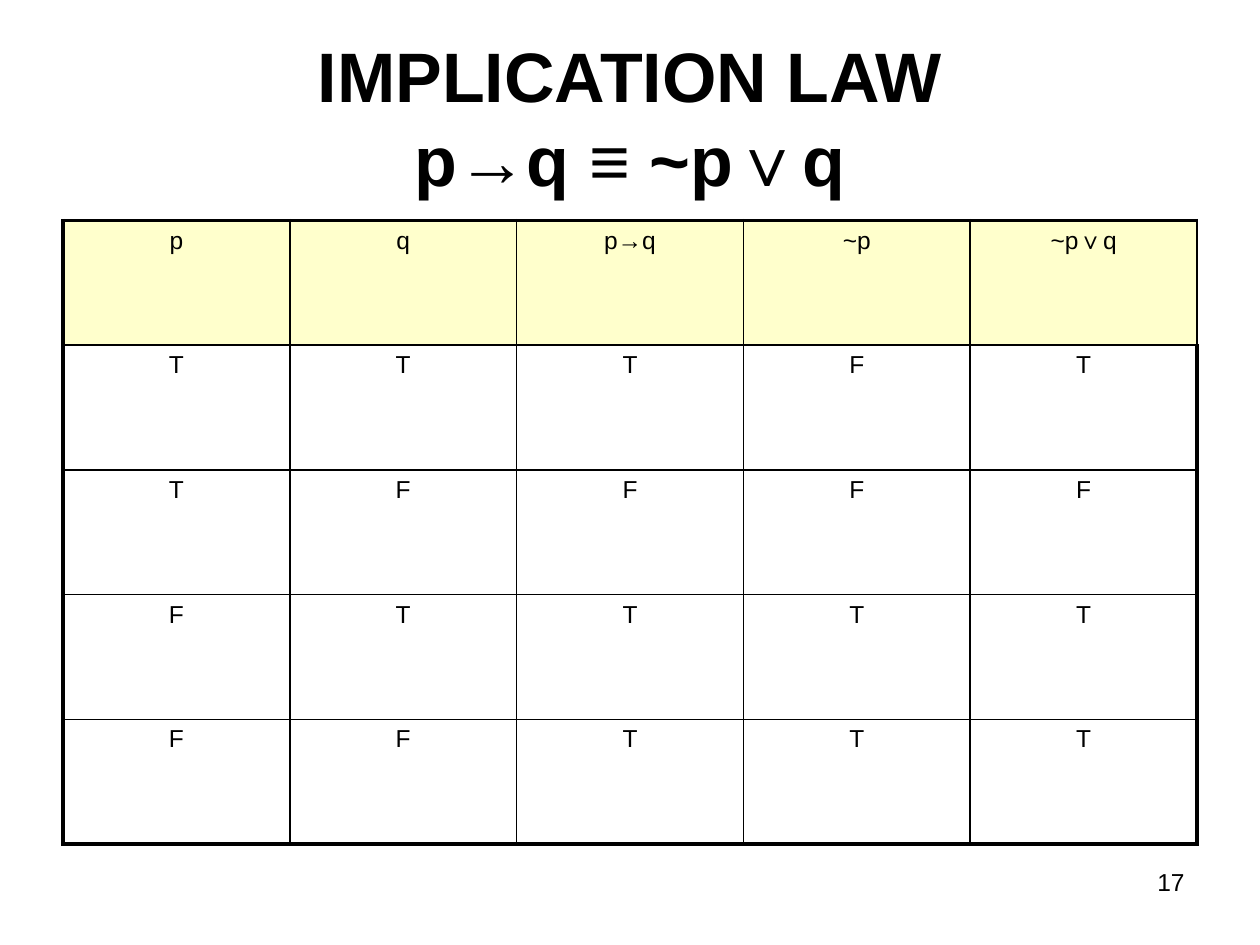
from pptx import Presentation
from pptx.dml.color import RGBColor
from pptx.enum.text import MSO_ANCHOR, MSO_AUTO_SIZE, PP_ALIGN
from pptx.oxml.ns import qn
from pptx.util import Inches, Pt
from lxml.etree import SubElement

HEADERS = ["p", "q", "p→q", "~p", "~p∨q"]
TRUTH_ROWS = ["TTTFT", "TFFFF", "FTTTT", "FFTTT"]


def color(value):
    return RGBColor.from_string(value)


def write(tf, text, size=14, bold=False, align=PP_ALIGN.CENTER,
          font="Arial", ink="000000"):
    """Fill the first paragraph; a newline becomes a line break."""
    p = tf.paragraphs[0]
    p.alignment = align
    for i, line in enumerate(text.split("\n")):
        if i:
            p.add_line_break()
        r = p.add_run()
        r.text = line
        r.font.name = font
        r.font.size = Pt(size)
        r.font.bold = bold
        r.font.color.rgb = color(ink)


def add_border(cell, side, width, ink):
    ln = SubElement(cell._tc.get_or_add_tcPr(), qn(f"a:ln{side}"),
                    w=str(Pt(width)))
    fill = SubElement(ln, qn("a:solidFill"))
    SubElement(fill, qn("a:srgbClr"), val=ink)


class TruthTableSlide:
    ink = "000000"
    header_fill = "FFFFCC"
    thin, thick = 1, 2.25

    def __init__(self, prs):
        self.s = prs.slides.add_slide(prs.slide_layouts[5])

    def title(self, text, x, y, w, h):
        sp = self.s.shapes.title
        sp.left, sp.top, sp.width, sp.height = map(Inches, (x, y, w, h))
        tf = sp.text_frame
        tf.word_wrap = True
        tf.auto_size = MSO_AUTO_SIZE.NONE
        tf.vertical_anchor = MSO_ANCHOR.MIDDLE
        write(tf, text, size=40, bold=True, ink=self.ink)

    def page_number(self, text, x, y, w, h):
        sp = self.s.shapes.add_textbox(*map(Inches, (x, y, w, h)))
        sp.text_frame.word_wrap = True
        write(sp.text_frame, text, align=PP_ALIGN.RIGHT, ink=self.ink)

    def table(self, rows, x, y, w, h):
        last_row, last_col = len(rows) - 1, len(rows[0]) - 1
        table = self.s.shapes.add_table(
            len(rows), len(rows[0]), *map(Inches, (x, y, w, h))).table
        table.first_row = table.horz_banding = False
        for i, row in enumerate(rows):
            for j, text in enumerate(row):
                cell = table.cell(i, j)
                write(cell.text_frame, text, ink=self.ink)
                # Thick outer frame, except on the right of the header
                outer = {"L": j == 0, "R": j == last_col and i > 0,
                         "T": i == 0, "B": i == last_row}
                for side, is_outer in outer.items():
                    add_border(cell, side,
                               self.thick if is_outer else self.thin, self.ink)
                # Fill follows the borders in the cell properties
                if i == 0:
                    cell.fill.solid()
                    cell.fill.fore_color.rgb = color(self.header_fill)
                else:
                    cell.fill.background()


def main():
    prs = Presentation()
    prs.slide_width, prs.slide_height = Inches(10), Inches(7.5)
    slide = TruthTableSlide(prs)

    # Page number and title
    slide.page_number("17", 7.17, 6.83, 2.33, 0.52)
    slide.title("IMPLICATION LAW\np→q ≡ ~p∨q", 0.5, 0.3, 9, 1.25)

    # Truth table
    slide.table([HEADERS, *TRUTH_ROWS], 0.5, 1.75, 9, 4.95)

    prs.save("out.pptx")


if __name__ == "__main__":
    main()
